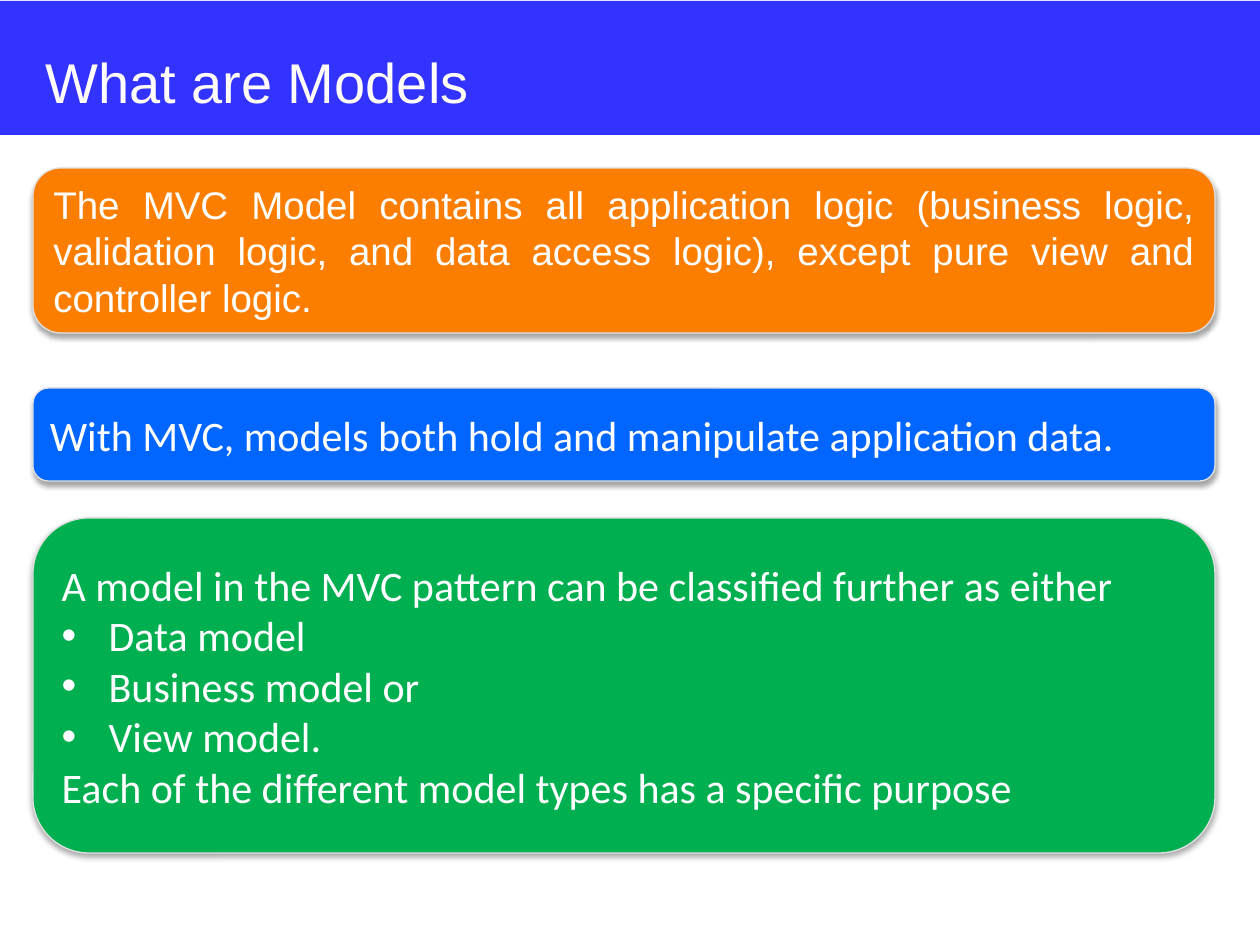
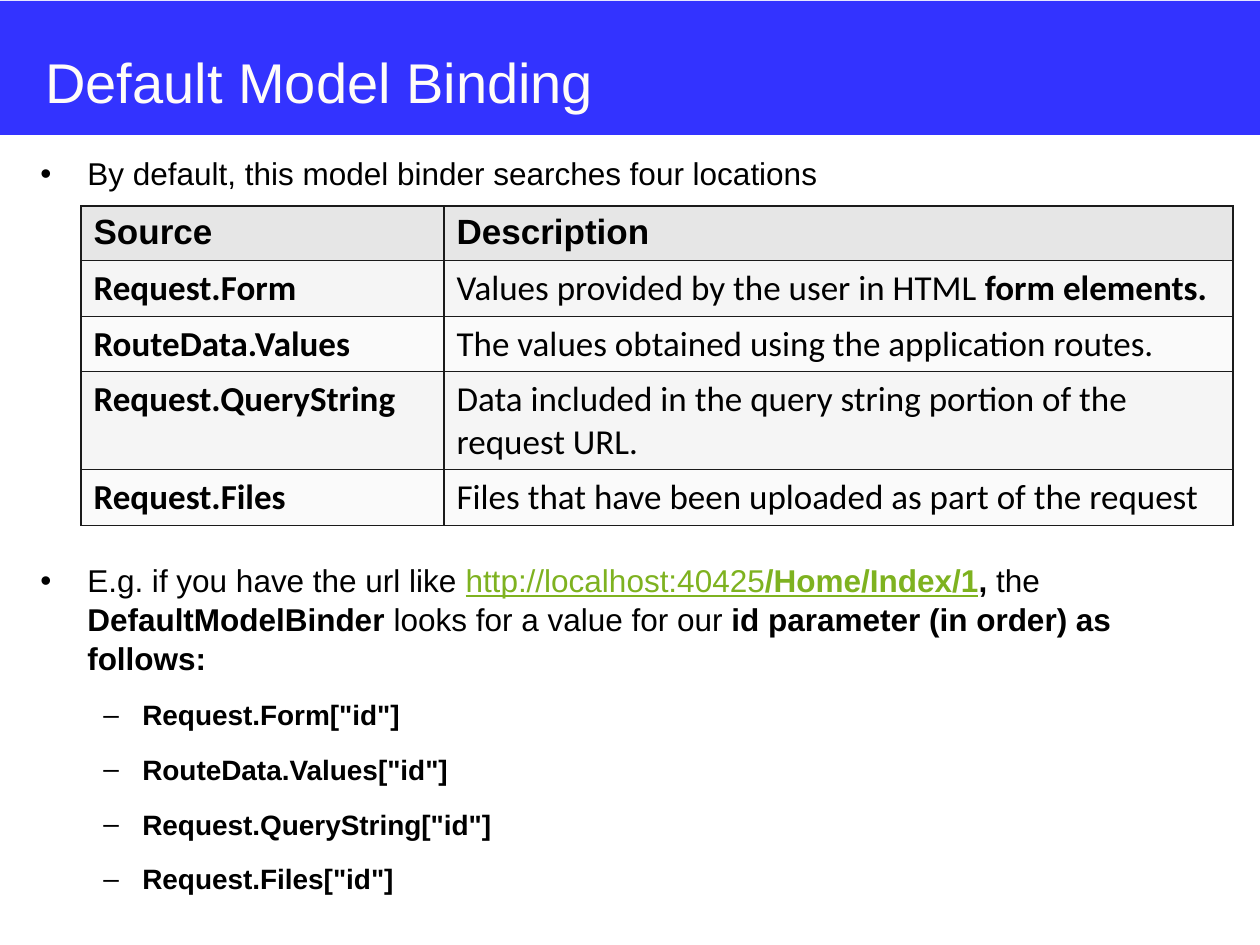
from lxml.etree import SubElement
from pptx import Presentation
from pptx.dml.color import RGBColor
from pptx.enum.shapes import MSO_SHAPE
from pptx.enum.text import MSO_ANCHOR, PP_ALIGN
from pptx.oxml import parse_xml
from pptx.oxml.ns import nsdecls, qn
from pptx.util import Emu, Pt

PIXELS_PER_INCH = 126
COLORS = {
    "band": "3333FF", "title": "FFFCF9", "white": "FFFFFF", "black": "000000",
    "orange": "FC7E00", "blue": "0066FF", "green": "00B050",
    "card_line": "E1E1E1", "link": "7EB220", "table_line": "1A1A1A",
    "header_row": "E6E6E6", "odd_row": "F5F5F5", "even_row": "FAFAFA",
}
BOLD = {"bold": True}
LINK = {"color": "link", "underline": True}
CARD_LEFT, CARD_WIDTH = 33, 1182
BULLET_INDENT = 47


def px(length):
    return Emu(round(length * 914400 / PIXELS_PER_INCH))


def rgb(name):
    return RGBColor.from_string(COLORS[name])


def add_run(paragraph, text, size, font, color="black", bold=False, underline=False):
    run = paragraph.add_run()
    run.text = text
    run.font.size = Pt(size)
    run.font.name = font
    run.font.bold = bold
    run.font.underline = underline
    run.font.color.rgb = rgb(color)


def set_bullet(paragraph, character, left, hanging):
    properties = paragraph._p.get_or_add_pPr()
    properties.set("marL", str(px(left)))
    properties.set("indent", str(-px(hanging)))
    SubElement(properties, qn("a:buFont"), typeface="Arial")
    SubElement(properties, qn("a:buChar"), char=character)


def next_paragraph(frame):
    """Return the empty first paragraph, or a new one once it is in use."""
    first = frame.paragraphs[0]
    return frame.add_paragraph() if first.runs else first


def add_text_box(slide, left, top, width, height):
    frame = slide.shapes.add_textbox(px(left), px(top), px(width), px(height)).text_frame
    frame.word_wrap = True
    return frame


def add_shape(slide, kind, left, top, width, height, fill):
    shape = slide.shapes.add_shape(kind, px(left), px(top), px(width), px(height))
    shape.shadow.inherit = False
    shape.fill.solid()
    shape.fill.fore_color.rgb = rgb(fill)
    shape.line.fill.background()
    return shape


def add_titled_slide(presentation, title):
    slide = presentation.slides.add_slide(presentation.slide_layouts[6])
    add_shape(slide, MSO_SHAPE.RECTANGLE, 0, 1, 1260, 134, "band")
    frame = add_text_box(slide, CARD_LEFT, 41, 1203, 78)
    add_run(frame.paragraphs[0], title, 32, "Arial", "title")
    return slide


def add_soft_shadow(shape):
    effects = shape._element.spPr.find(qn("a:effectLst"))
    effects.append(parse_xml(
        f'<a:outerShdw {nsdecls("a")} blurRad="{Pt(3.1)}" dist="{Pt(1.8)}" '
        f'dir="5400000" rotWithShape="0"><a:srgbClr val="{COLORS["black"]}">'
        '<a:alpha val="35000"/></a:srgbClr></a:outerShdw>'))


def add_card(slide, top, height, fill, lines, size, font):
    """Add a rounded card; lines holds (text, is_bullet) pairs."""
    card = add_shape(slide, MSO_SHAPE.ROUNDED_RECTANGLE,
                     CARD_LEFT, top, CARD_WIDTH, height, fill)
    card.line.color.rgb = rgb("card_line")
    card.line.width = Pt(0.75)
    add_soft_shadow(card)
    frame = card.text_frame
    frame.word_wrap = True
    frame.vertical_anchor = MSO_ANCHOR.MIDDLE
    for text, is_bullet in lines:
        paragraph = next_paragraph(frame)
        paragraph.alignment = PP_ALIGN.JUSTIFY
        if is_bullet:
            set_bullet(paragraph, "•", BULLET_INDENT, BULLET_INDENT)
        add_run(paragraph, text, size, font, "white")


def add_bullet(frame, runs, level=0):
    """Add a bullet built from (text, style) runs."""
    character, left, hanging, size = [("•", BULLET_INDENT, BULLET_INDENT, 18),
                                      ("–", 102, 39, 16)][level]
    is_first = not frame.paragraphs[0].runs
    paragraph = next_paragraph(frame)
    set_bullet(paragraph, character, left, hanging)
    paragraph.level = level
    paragraph.line_spacing = 1.03
    paragraph.space_before = Pt(0 if is_first else 3.5)
    paragraph.space_after = Pt(8)
    for text, style in runs:
        add_run(paragraph, text, size, "Arial", **style)


def style_cell(cell, fill):
    properties = cell._tc.get_or_add_tcPr()
    for side in ("lnL", "lnR", "lnT", "lnB"):
        properties.append(parse_xml(
            f'<a:{side} {nsdecls("a")} w="{Pt(1)}"><a:solidFill>'
            f'<a:srgbClr val="{COLORS["table_line"]}"/></a:solidFill></a:{side}>'))
    cell.fill.solid()
    cell.fill.fore_color.rgb = rgb(fill)


def add_source_table(slide, rows):
    widths, heights = (363, 789), (51, 56, 55, 98, 56)
    table = slide.shapes.add_table(len(rows), len(widths), px(81), px(206),
                                   px(sum(widths)), px(sum(heights))).table
    for column, width in zip(table.columns, widths):
        column.width = px(width)
    for index, (source, description) in enumerate(rows):
        table.rows[index].height = px(heights[index])
        is_header = index == 0
        fill = "header_row" if is_header else ("even_row", "odd_row")[index % 2]
        for column, runs in enumerate(([(source, BOLD)], description)):
            cell = table.cell(index, column)
            style_cell(cell, fill)
            for text, style in runs:
                add_run(cell.text_frame.paragraphs[0], text, 20,
                        "Arial" if is_header else "Calibri", **style)


def build_models_slide(presentation):
    slide = add_titled_slide(presentation, "What are Models")
    add_card(slide, 168, 165, "orange", [
        ("The MVC Model contains all application logic (business logic, validation "
         "logic, and data access logic), except pure view and controller logic.", False),
    ], 22, "Arial")
    add_card(slide, 388, 93, "blue", [
        ("With MVC, models both hold and manipulate application data.", False),
    ], 24, "Calibri")
    add_card(slide, 518, 335, "green", [
        ("A model in the MVC pattern can be classified further as either", False),
        ("Data model", True),
        ("Business model or", True),
        ("View model.", True),
        ("Each of the different model types has a specific purpose", False),
    ], 24, "Calibri")


def build_binding_slide(presentation):
    slide = add_titled_slide(presentation, "Default Model Binding")
    introduction = add_text_box(slide, 28, 147, 1207, 54)
    add_bullet(introduction, [("By default, this model binder searches four locations", {})])

    sources = ["Request.Form", "RouteData.Values", "Request.QueryString", "Request.Files"]
    descriptions = [
        [("Values provided by the user in HTML ", {}), ("form elements.", BOLD)],
        [("The values obtained using the application routes.", {})],
        [("Data included in the query string portion of the request URL.", {})],
        [("Files that have been uploaded as part of the request", {})],
    ]
    header = ("Source", [("Description", BOLD)])
    add_source_table(slide, [header, *zip(sources, descriptions)])

    example = add_text_box(slide, 28, 554, 1207, 363)
    add_bullet(example, [
        ("E.g. if you have the url like ", {}),
        ("http://localhost:40425", LINK),
        ("/Home/Index/1", LINK | BOLD),
        (", ", BOLD),
        ("the ", {}),
        ("DefaultModelBinder ", BOLD),
        ("looks for a value for our ", {}),
        ("id parameter (in order) as follows:", BOLD),
    ])
    for source in sources:
        add_bullet(example, [(f'{source}["id"]', BOLD)], level=1)


def main():
    presentation = Presentation()
    presentation.slide_width = px(1260)
    presentation.slide_height = px(945)
    build_models_slide(presentation)
    build_binding_slide(presentation)
    presentation.save("out.pptx")


if __name__ == "__main__":
    main()
